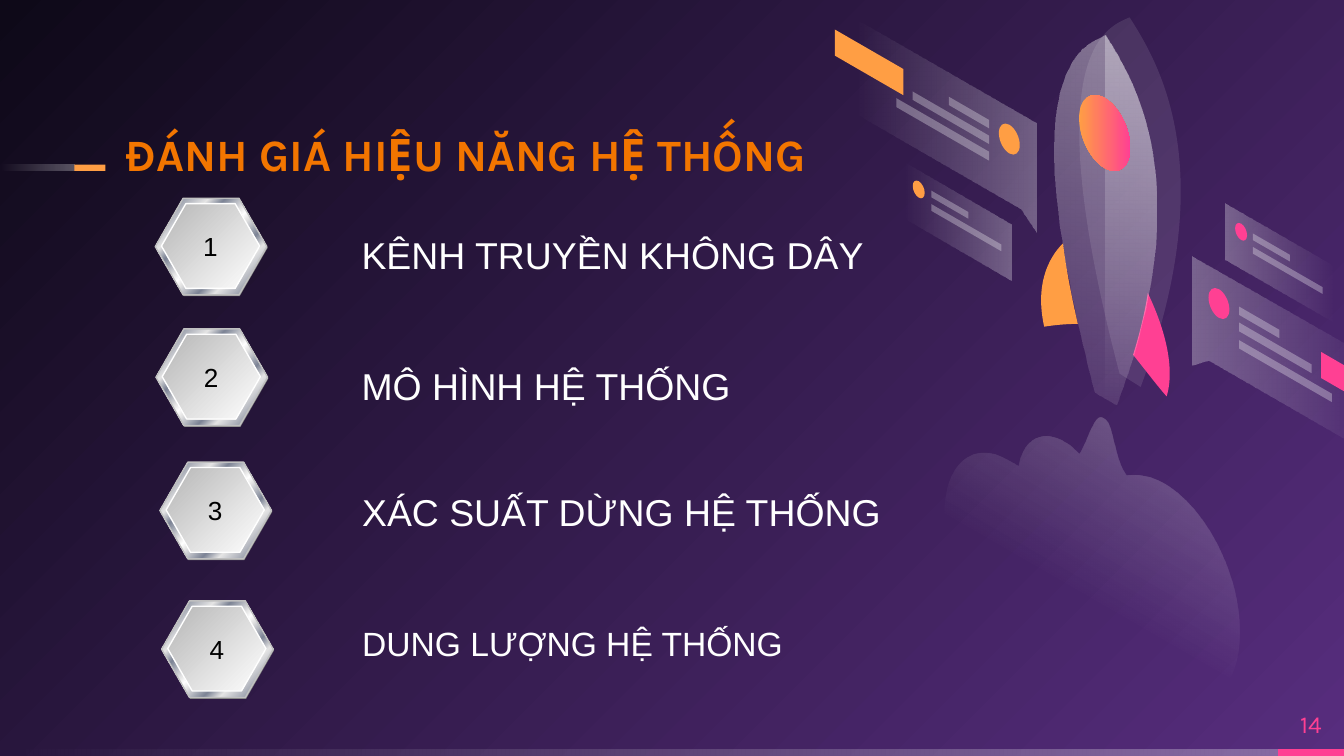
from math import pi, tan
from typing import NamedTuple

from lxml import etree
from pptx import Presentation
from pptx import util as u
from pptx.dml import color
from pptx.enum import shapes, text
from pptx.oxml import ns

SLOPE = tan(pi / 6)  # slant of every isometric panel
ROUND = 0.55  # Bezier handle of a quarter circle
ORANGE, PINK, WHITE = "FF9E44", "FF4093", "FFFFFF"
HEXAGON, CENTER = shapes.MSO_SHAPE.HEXAGON, text.PP_ALIGN.CENTER

class Stop(NamedTuple):
    position: int
    tone: str
    alpha: float = 100
    shade: float = 100

class Paint(NamedTuple):
    """One stop is a plain fill; several are a gradient, radial if no angle."""
    stops: tuple[Stop, ...]
    angle: int | None = None

class Outline(NamedTuple):
    """Segments hold two numbers for a line, six for a Bezier curve."""
    start: tuple[float, float]
    segments: tuple[tuple[float, ...], ...]
    paint: Paint

class Item(NamedTuple):
    number: str
    badge: tuple[float, float]
    label: str
    frame: tuple[float, float, float, float]
    size: int

def plain(tone: str, alpha: float = 100) -> Paint:
    return Paint((Stop(0, tone, alpha),))

def fade(angle: int, start: float = 30, end: float = 0) -> Paint:
    return Paint((Stop(0, WHITE, start), Stop(100, WHITE, end)), angle)

def colour(tone: str) -> color.RGBColor:
    return color.RGBColor.from_string(tone)

def add_xml(parent, tag: str, **values):
    return etree.SubElement(parent, ns.qn(tag), {k: str(v) for k, v in values.items()})

def set_gradient(gradient, paint: Paint) -> None:
    for child in list(gradient):
        gradient.remove(child)
    stop_list = add_xml(gradient, "a:gsLst")
    for stop in paint.stops:
        mark = add_xml(stop_list, "a:gs", pos=stop.position * 1000)
        tint = add_xml(mark, "a:srgbClr", val=colour(stop.tone))
        for tag, value in (("a:shade", stop.shade), ("a:alpha", stop.alpha)):
            if value < 100:
                add_xml(tint, tag, val=round(value * 1000))
    if paint.angle is None:
        radial = add_xml(gradient, "a:path", path="circle")
        add_xml(radial, "a:fillToRect", l=100000, t=100000)
    else:
        add_xml(gradient, "a:lin", ang=paint.angle * 60000, scaled=0)

def dress(shape, paint: Paint, line: str | None = None) -> None:
    shape.shadow.inherit = False
    if len(paint.stops) > 1:
        shape.fill.gradient()
        set_gradient(shape.element.spPr.find(ns.qn("a:gradFill")), paint)
    else:
        stop = paint.stops[0]
        shape.fill.solid()
        shape.fill.fore_color.rgb = colour(stop.tone)
        if stop.alpha < 100:
            tint = shape.element.spPr.find(ns.qn("a:solidFill"))[0]
            add_xml(tint, "a:alpha", val=stop.alpha * 1000)
    if line:
        shape.line.color.rgb = colour(line)
        shape.line.width = u.Pt(0.75)
    else:
        shape.line.fill.background()

def write(box, words: str, font: str, size: int, tone: str, anchor, wrap: bool, align=None):
    frame = box.text_frame
    frame.text, frame.word_wrap, frame.vertical_anchor = words, wrap, anchor
    if wrap:
        frame.margin_left = frame.margin_right = frame.margin_top = frame.margin_bottom = u.Pt(0)
    para = frame.paragraphs[0]
    para.alignment, para.font.name, para.font.size = align, font, u.Pt(size)
    para.font.color.rgb = colour(tone)
    return para

def add_box(page, *frame: float):
    return page.shapes.add_textbox(*map(u.Pt, frame))

def slat(left: float, top: float, width: float, height: float, paint: Paint) -> Outline:
    right, drop = left + width, top + width * SLOPE
    return Outline((left, top), ((right, drop), (right, drop + height), (left, top + height)), paint)

def dot(x: float, y: float, radius: float, paint: Paint) -> Outline:
    def place(a: float, b: float) -> tuple[float, float]:
        return x + radius * a, y + radius * (SLOPE * a + 1.37 * b)
    quarters = ((1, 0), (0, 1), (-1, 0), (0, -1), (1, 0))
    curves = tuple(place(a + ROUND * c, b + ROUND * d) + place(c + ROUND * a, d + ROUND * b)
                   + place(c, d) for (a, b), (c, d) in zip(quarters, quarters[1:]))
    return Outline(place(1, 0), curves, paint)

def draw_outline(group, outline: Outline) -> None:
    # Measure the curve, frame it, then set its true path inside the frame
    reach = [outline.start]
    for segment in outline.segments:
        knots = [reach[-1], *zip(segment[::2], segment[1::2])]
        for t in (step / 40 for step in range(1, 41)):
            weights = ((1 - t, t) if len(knots) == 2 else
                       ((1 - t) ** 3, 3 * t * (1 - t) ** 2, 3 * t * t * (1 - t), t ** 3))
            reach.append(tuple(sum(w * k[i] for w, k in zip(weights, knots)) for i in (0, 1)))
    (left, right), (top, bottom) = ((u.Pt(min(v)), u.Pt(max(v))) for v in zip(*reach))
    builder = group.shapes.build_freeform(left, top)
    builder.add_line_segments([(right, top), (right, bottom), (left, bottom)])
    shape = builder.convert_to_shape()
    route = shape.element.xpath(".//a:pathLst/*")[0]
    for child in list(route):
        route.remove(child)
    for place, segment in enumerate((outline.start, *outline.segments)):
        tag = "a:moveTo" if place == 0 else "a:lnTo" if len(segment) == 2 else "a:cubicBezTo"
        move = add_xml(route, tag)
        for x, y in zip(segment[::2], segment[1::2]):
            add_xml(move, "a:pt", x=u.Pt(x) - left, y=u.Pt(y) - top)
    add_xml(route, "a:close")
    dress(shape, outline.paint)

def draw_block(page, frame, paint: Paint, kind=shapes.MSO_SHAPE.RECTANGLE, line: str | None = None):
    block = page.shapes.add_shape(kind, *map(u.Pt, frame))
    if kind == HEXAGON:
        block.adjustments[0], block.adjustments[1] = 0.289, 1.155
    dress(block, paint, line)
    return block

def draw_item(page, item: Item) -> None:
    left, top = item.badge
    draw_block(page, (left + 0.4, top + 0.7, 59.8, 51.8), plain("808080"), HEXAGON)
    draw_block(page, (left, top, 59.8, 51.8), METAL, HEXAGON, "C0C0C0")
    face = draw_block(page, (left + 3.3, top + 2.9, 52.6, 45.4), SILVER, HEXAGON, WHITE)
    write(face, item.number, "Arial", 14, "000000", text.MSO_ANCHOR.MIDDLE, False, CENTER)
    label = add_box(page, *item.frame)
    write(label, item.label, "Arial", item.size, WHITE, text.MSO_ANCHOR.TOP, False)
    label.text_frame.auto_size = text.MSO_AUTO_SIZE.SHAPE_TO_FIT_TEXT

LIGHT, STEEL = "E6E6E6", "7D8496"
METAL = Paint(tuple(Stop(p, STEEL if p in (8, 34, 66, 92) else WHITE if p == 50 else LIGHT)
                    for p in (0, 8, 26, 34, 46, 50, 54, 66, 74, 92, 100)), 45)
SILVER = Paint((Stop(0, WHITE, shade=46.27), Stop(100, WHITE)), 45)
NIGHT = Paint((Stop(0, "572D7E"), Stop(100, "0E0918")))
SUNSET = Paint((Stop(0, ORANGE), Stop(100, PINK)), 0)
PLUME = Paint((Stop(0, WHITE, 30), Stop(59, WHITE, 0), Stop(100, WHITE, 0)), 120)
ITEMS = [Item("1", (83.2, 106.2), "KÊNH TRUYỀN KHÔNG DÂY", (186.6, 121, 286.6, 31.5), 20),
         Item("2", (83.6, 176.2), "MÔ HÌNH HỆ THỐNG", (186.6, 190.8, 214.6, 31.5), 20),
         Item("4", (86.6, 321.9), "DUNG LƯỢNG HỆ THỐNG", (187, 330.1, 242.6, 29), 18),
         Item("3", (85.7, 247.6), "XÁC SUẤT DỪNG HỆ THỐNG", (186.9, 258.5, 295.9, 31.5), 20)]
BARS = ((663.8, 164.2, 21.6, 4.5), (663.8, 172.8, 38.9, 4.7), (663.8, 182.2, 49.7, 4.5),
        (508.3, 51.8, 21.6, 4.5), (488.9, 49, 41, 4.5), (480.2, 52.6, 49.7, 4.8),
        (499, 102.2, 19.8, 3.6), (499, 109.4, 37.4, 3.6),
        (671.2, 125.1, 19.8, 3.6), (671.2, 132.3, 37.4, 3.6))
HULL = ((542, 39.6, 578.6, 24.5, 592.2, 18.9), (606, 41, 642.8, 97.2, 598.1, 216.9))
CLOUD = (
    (599.8, 249.8, 598.3, 243.4, 596.9, 237.6), (595.4, 231.1, 594, 225.4, 591.1, 224.4),
    (587.5, 222.5, 586.1, 226.8, 583.2, 232.6), (581.8, 236.2, 580.3, 239.8, 578.2, 243.4),
    (575.3, 240.5, 573.1, 238.3, 570.2, 236.9), (558, 229.7, 547.9, 236.2, 545.8, 249.8),
    (544.3, 249.1, 542.2, 247.7, 540.7, 247), (522, 235.4, 506.2, 248.4, 506.2, 275),
    (506.2, 301, 522, 331.9, 540.7, 342.7), (559.4, 353.5, 574.6, 342, 575.3, 316.8),
    (578.9, 323.3, 583.2, 329, 589, 331.9), (589.7, 332.6, 591.1, 333.4, 592.6, 333.4),
    (599.8, 349.9, 611.3, 363.6, 623.5, 370.8), (645.8, 383.8, 663.8, 369.4, 663.8, 338.4),
    (663.8, 307.4, 645.8, 272.2, 623.5, 259.2), (616.3, 254.9, 609.1, 254.2, 603.4, 254.9))
ROCKET = [
    Outline((599.8, 200.2), tuple(tuple(v + (-9.6 if i % 2 else 13) for i, v in enumerate(curve))
                                  for curve in HULL), plain(WHITE, 10)),
    Outline((607, 190.1), ((613.4, 198, 619.9, 206.6, 625, 212.4), (630, 195.8, 622.8, 173.5, 614.9, 157),
                           (613.4, 167, 610.6, 178.6, 607, 190.1)), plain(PINK)),
    Outline((569.5, 130.3), ((561.6, 138.2, 554.4, 152.6, 559.4, 175), (564.5, 174.2, 571, 173.5, 577.4, 173.5),
                             (573.8, 157.7, 571, 143.3, 569.5, 130.3)), plain(ORANGE)),
    Outline((586.8, 210.2), HULL, fade(110, 40, 10)),
    Outline((598.1, 216.9), ((642.8, 97.2, 606, 41, 592.2, 18.9), (592.2, 213.8)), fade(90)),
    dot(591.8, 71.3, 13.7, SUNSET), Outline((603.4, 254.9), CLOUD, PLUME),
    # Speech panels with their bars and dots
    Outline((638.6, 137.5), ((736.6, 193.7), (736.6, 244.8), (647.3, 193), (638.6, 195.8)), fade(0)),
    Outline((555.1, 66.2), ((457.9, 10.1), (457.9, 60.5), (546.5, 111.6), (555.1, 124.6)), fade(180)),
    slat(483.8, 86.4, 58.3, 30.2, fade(180)), slat(656.6, 109.1, 58.3, 30.2, fade(0)),
    slat(707.8, 188.6, 36.7, 14, plain(PINK)), slat(447.2, 15.8, 36.7, 14, plain(ORANGE)),
    *(slat(*bar, plain(WHITE, 30)) for bar in BARS),
    *(dot(*spot, plain(PINK)) for spot in ((653, 162.6, 5.6), (664.9, 124.2, 3.2))),
    *(dot(*spot, plain(ORANGE)) for spot in ((540.7, 74.5, 5.6), (492.2, 101.5, 3.2)))]

deck = Presentation()
deck.slide_width, deck.slide_height = u.Pt(720), u.Pt(405)
page = deck.slides.add_slide(deck.slide_layouts[6])
page.background.fill.gradient()
set_gradient(page.element.xpath(".//p:bgPr/a:gradFill")[0], NIGHT)
# Footer and title strips
for strip, paint in (((0, 401.3, 686.9, 3.7), fade(180)), ((684.7, 401.3, 35.3, 3.7), plain(PINK)),
                     ((0, 88.2, 40, 3.4), fade(180)), ((39.9, 88.2, 16.6, 3.4), plain(ORANGE))):
    draw_block(page, strip, paint)
# Title and page number
title = write(add_box(page, 67.3, 65.9, 585.4, 31), "ĐÁNH GIÁ HIỆU NĂNG HỆ THỐNG", "Karla", 24,
              "F27500", text.MSO_ANCHOR.BOTTOM, True)
title.font.bold, title.line_spacing = True, 0.9
write(add_box(page, 684.6, 374, 35.3, 27.4), "14", "Karla", 13, PINK, text.MSO_ANCHOR.MIDDLE, True, CENTER)
# Numbered list and rocket
for item in ITEMS:
    draw_item(page, item)
rocket = page.shapes.add_group_shape()
for outline in ROCKET:
    draw_outline(rocket, outline)
deck.save("out.pptx")
